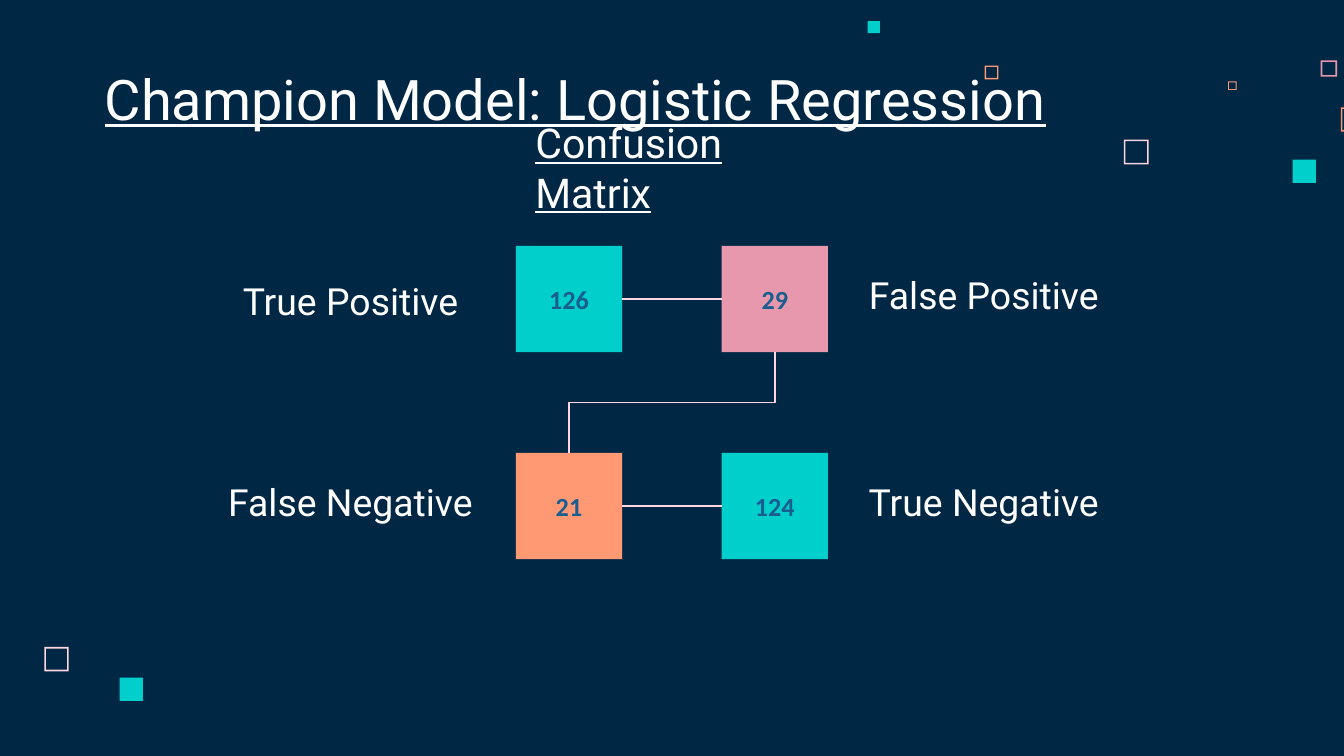
from lxml import etree
from pptx import Presentation
from pptx import util as u
from pptx.dml.color import RGBColor
from pptx.enum import shapes, text
from pptx.oxml import ns

NAVY, WHITE, BLUE = "002845", "FFFFFF", "1A5E8F"
TEAL, ORANGE, PINK, BLUSH = "00CFCC", "FF9973", "E898AC", "FFD6E1"


def paint(target, colour):
    """Give a shape or background a solid fill and no outline or shadow."""
    target.fill.solid()
    target.fill.fore_color.rgb = RGBColor.from_string(colour)
    if hasattr(target, "line"):
        target.line.fill.background()
        target.shadow.inherit = False


def write(box, words, size, colour=WHITE, font="Roboto", align="CENTER",
          anchor="BOTTOM", bold=False, underline=False):
    frame = box.text_frame
    frame.word_wrap = True
    frame.auto_size = text.MSO_AUTO_SIZE.NONE
    frame.vertical_anchor = text.MSO_ANCHOR[anchor]
    frame.margin_left = frame.margin_right = u.Cm(0.25)
    frame.margin_top = frame.margin_bottom = u.Cm(0.25)
    para = frame.paragraphs[0]
    para.alignment = text.PP_ALIGN[align]
    span = para.add_run()
    span.text = words
    span.font.name, span.font.size = font, u.Pt(size)
    span.font.bold, span.font.underline = bold, underline
    span.font.color.rgb = RGBColor.from_string(colour)


deck = Presentation()
deck.slide_width, deck.slide_height = u.Cm(25.4), u.Cm(14.29)
page = deck.slides.add_slide(deck.slide_layouts[5])
paint(page.background, NAVY)

# Scattered decoration: left, top, side, colour
outlined = [(21.24, 2.64, 0.47, BLUSH), (24.96, 1.14, 0.31, PINK),
            (23.21, 1.54, 0.16, ORANGE), (25.34, 2.03, 0.46, ORANGE),
            (18.61, 1.24, 0.26, ORANGE), (0.84, 12.23, 0.46, BLUSH)]
solid = [(24.43, 3.02, 0.44, TEAL), (16.4, 0.4, 0.23, TEAL),
         (2.26, 12.81, 0.44, TEAL)]
for preset, group in (("FRAME", outlined), ("RECTANGLE", solid)):
    for left, top, side, colour in group:
        square = page.shapes.add_shape(
            shapes.MSO_SHAPE[preset], u.Cm(left), u.Cm(top), u.Cm(side), u.Cm(side))
        paint(square, colour)
        if preset == "FRAME":
            square.adjustments[0] = 0.03 / side if side > 0.4 else 0.1

# Headings, with the title in front of the decoration
title = page.shapes.title
page.shapes._spTree.append(title._element)
title.left, title.top = u.Cm(1.73), u.Cm(1.14)
title.width, title.height = u.Cm(18.67), u.Cm(1.6)
write(title, "Champion Model: Logistic Regression", 30, align="LEFT", underline=True)
heading = page.shapes.add_textbox(u.Cm(9.87), u.Cm(2.54), u.Cm(6.2), u.Cm(1.8))
write(heading, "Confusion Matrix", 22, align="LEFT", underline=True)

# Confusion matrix: value, colour, label, label top
SIDE = 2.01
columns, rows = (9.75, 13.64), (4.65, 8.56)
label_lefts = (4.01, 15.98)
matrix = [[("126", TEAL, "True Positive", 4.55), ("29", PINK, "False Positive", 4.45)],
          [("21", ORANGE, "False Negative", 8.36), ("124", TEAL, "True Negative", 8.36)]]
connectors = []
for top, entries in zip(rows, matrix):
    cells = []
    for left, label_left, entry in zip(columns, label_lefts, entries):
        value, colour, label, label_top = entry
        cell = page.shapes.add_shape(
            shapes.MSO_SHAPE.RECTANGLE, u.Cm(left), u.Cm(top), u.Cm(SIDE), u.Cm(SIDE))
        paint(cell, colour)
        write(cell, value, 14, BLUE, "Calibri", anchor="MIDDLE", bold=True)
        cells.append(cell)
        box = page.shapes.add_textbox(
            u.Cm(label_left), u.Cm(label_top), u.Cm(5.23), u.Cm(1.8))
        write(box, label, 20)
    link = page.shapes.add_connector(shapes.MSO_CONNECTOR.STRAIGHT, 0, 0, 0, 0)
    link.begin_connect(cells[0], 3)
    link.end_connect(cells[1], 1)
    connectors.append(link)

# Elbow from False Positive down to False Negative, turned a quarter
drop = rows[1] - rows[0] - SIDE
shift = columns[1] - columns[0]
middle_x = (sum(columns) + SIDE) / 2
middle_y = (sum(rows) + SIDE) / 2
elbow = page.shapes.add_connector(
    shapes.MSO_CONNECTOR.ELBOW,
    u.Cm(middle_x - drop / 2), u.Cm(middle_y - shift / 2),
    u.Cm(middle_x + drop / 2), u.Cm(middle_y + shift / 2))
elbow._element.spPr.find(ns.qn("a:xfrm")).set("rot", "5400000")
connectors.append(elbow)

for link in connectors:
    link.line.color.rgb = RGBColor.from_string(BLUSH)
    link.line.width = u.Pt(0.75)
    etree.SubElement(link._element.spPr, ns.qn("a:effectLst"))

deck.save("out.pptx")
